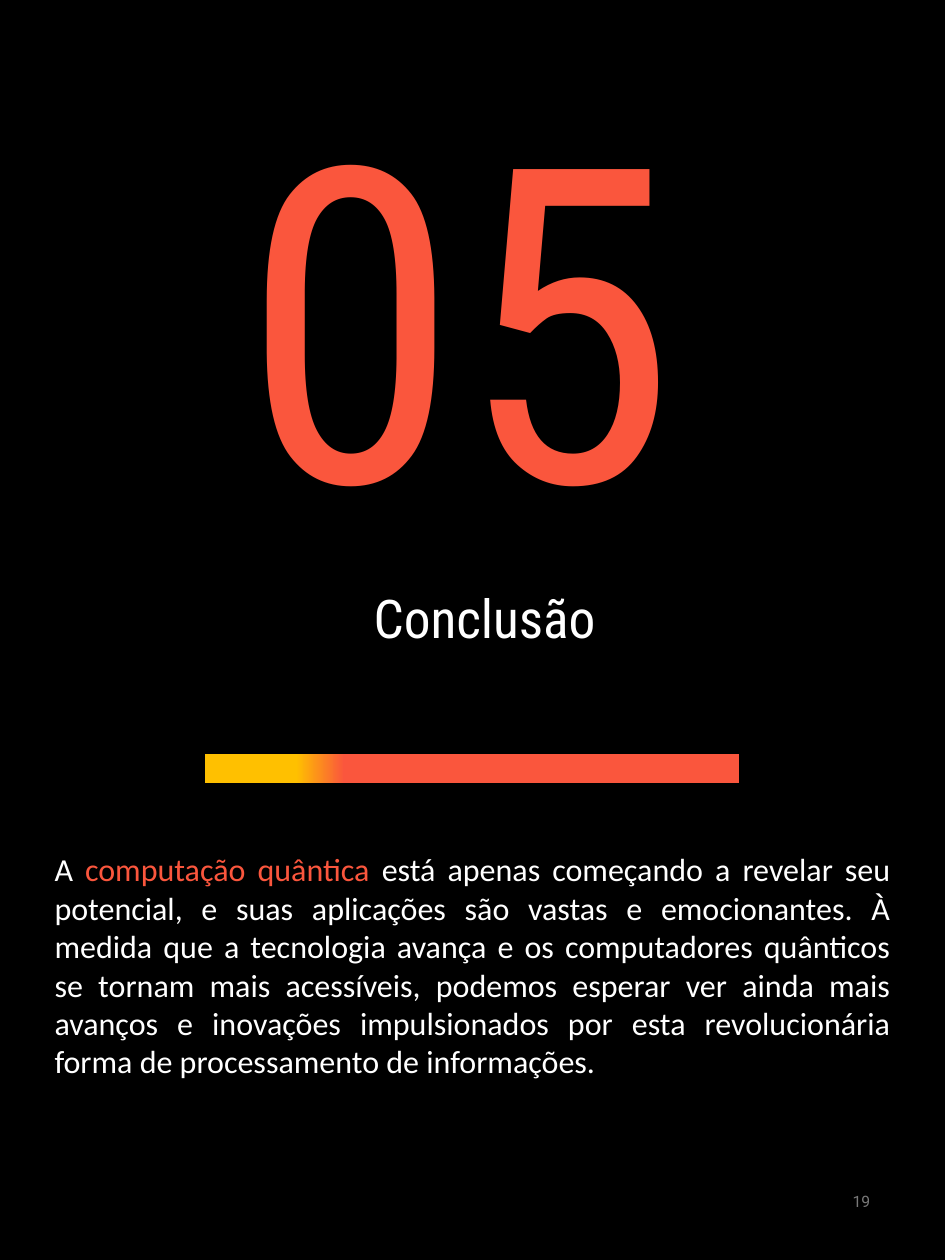
from dataclasses import dataclass

from lxml import etree
from pptx import Presentation
from pptx import util as u
from pptx.dml.color import RGBColor
from pptx.enum import shapes, text
from pptx.oxml import ns


@dataclass(frozen=True)
class Theme:
    background: str = "000000"
    white: str = "FFFFFF"
    coral: str = "FA563D"
    amber: str = "FFC000"
    grey: str = "797979"
    heading_font: str = "Roboto Condensed"
    body_font: str = "Calibri"
    footer_font: str = "Roboto"
    number_size: float = 330
    title_size: float = 40
    body_size: float = 24
    footer_size: float = 11.8


@dataclass(frozen=True)
class Box:
    left: float
    top: float
    width: float
    height: float

    def lengths(self) -> list[int]:
        return [u.Inches(v) for v in (self.left, self.top, self.width, self.height)]


@dataclass(frozen=True)
class TextBlock:
    box: Box
    runs: tuple[tuple[str, str], ...]
    font: str
    size: float
    align: text.PP_ALIGN
    anchor: text.MSO_ANCHOR = text.MSO_ANCHOR.TOP
    auto_size: text.MSO_AUTO_SIZE = text.MSO_AUTO_SIZE.SHAPE_TO_FIT_TEXT
    left_inset: float = 0.1


THEME = Theme()
BAR = Box(2.14, 7.85, 5.56, 0.3)
BAR_STOPS = ((0, THEME.coral), (74, THEME.coral), (83, THEME.amber), (100, THEME.amber))
TITLE = TextBlock(Box(2.33, 6.04, 5.31, 0.77), (("Conclusão", THEME.white),),
                  THEME.heading_font, THEME.title_size, text.PP_ALIGN.CENTER,
                  left_inset=0.22)
NUMBER = TextBlock(Box(2.2, 0.39, 5.18, 5.65), (("05", THEME.coral),),
                   THEME.heading_font, THEME.number_size, text.PP_ALIGN.CENTER)
BODY = TextBlock(Box(0.47, 8.8, 8.9, 2.52), (
    ("A ", THEME.white),
    ("computação quântica ", THEME.coral),
    ("está apenas começando a revelar seu potencial, e suas aplicações são "
     "vastas e emocionantes. À medida que a tecnologia avança e os "
     "computadores quânticos se tornam mais acessíveis, podemos esperar ver "
     "ainda mais avanços e inovações impulsionados por esta revolucionária "
     "forma de processamento de informações.", THEME.white),
), THEME.body_font, THEME.body_size, text.PP_ALIGN.JUSTIFY)
PAGE_NUMBER = TextBlock(Box(6.95, 12.16, 2.21, 0.7), (("19", THEME.grey),),
                        THEME.footer_font, THEME.footer_size, text.PP_ALIGN.RIGHT,
                        text.MSO_ANCHOR.MIDDLE, text.MSO_AUTO_SIZE.NONE)


def write_text(sp, block: TextBlock) -> None:
    tf = sp.text_frame
    frame_format = {"word_wrap": True, "auto_size": block.auto_size,
                    "vertical_anchor": block.anchor,
                    "margin_left": u.Inches(block.left_inset)}
    for name, value in frame_format.items():
        setattr(tf, name, value)
    p = tf.paragraphs[0]
    p.alignment = block.align
    for words, color in block.runs:
        r = p.add_run()
        r.text = words
        for name, value in {"name": block.font, "size": u.Pt(block.size)}.items():
            setattr(r.font, name, value)
        r.font.color.rgb = RGBColor.from_string(color)


def add_text(s, block: TextBlock) -> None:
    write_text(s.shapes.add_textbox(*block.box.lengths()), block)


def add_rectangle(s, box: Box):
    sp = s.shapes.add_shape(shapes.MSO_SHAPE.RECTANGLE, *box.lengths())
    sp.shadow.inherit = False
    return sp


def add_number_panel(s, block: TextBlock) -> None:
    sp = add_rectangle(s, block.box)
    sp.fill.background()
    sp.line.color.rgb = RGBColor.from_string(THEME.background)
    sp.line.width = u.Pt(0.75)
    write_text(sp, block)


def add_gradient_bar(s, box: Box, stops: tuple[tuple[int, str], ...]) -> None:
    sp = add_rectangle(s, box)
    sp.line.fill.background()
    sp.fill.gradient()
    sp.fill.gradient_angle = 180
    stop_list = sp.element.spPr.find(f".//{ns.qn('a:gsLst')}")
    for stop in list(stop_list):
        stop_list.remove(stop)
    for percent, color in stops:
        stop = etree.SubElement(stop_list, ns.qn("a:gs"), pos=str(percent * 1000))
        etree.SubElement(stop, ns.qn("a:srgbClr"), val=color)


def main() -> None:
    prs = Presentation()
    prs.slide_width, prs.slide_height = u.Inches(9.84), u.Inches(13.12)
    s = prs.slides.add_slide(prs.slide_layouts[6])
    s.background.fill.solid()
    s.background.fill.fore_color.rgb = RGBColor.from_string(THEME.background)
    add_text(s, TITLE)
    add_number_panel(s, NUMBER)
    add_gradient_bar(s, BAR, BAR_STOPS)
    add_text(s, BODY)
    add_text(s, PAGE_NUMBER)
    prs.save("out.pptx")


if __name__ == "__main__":
    main()
